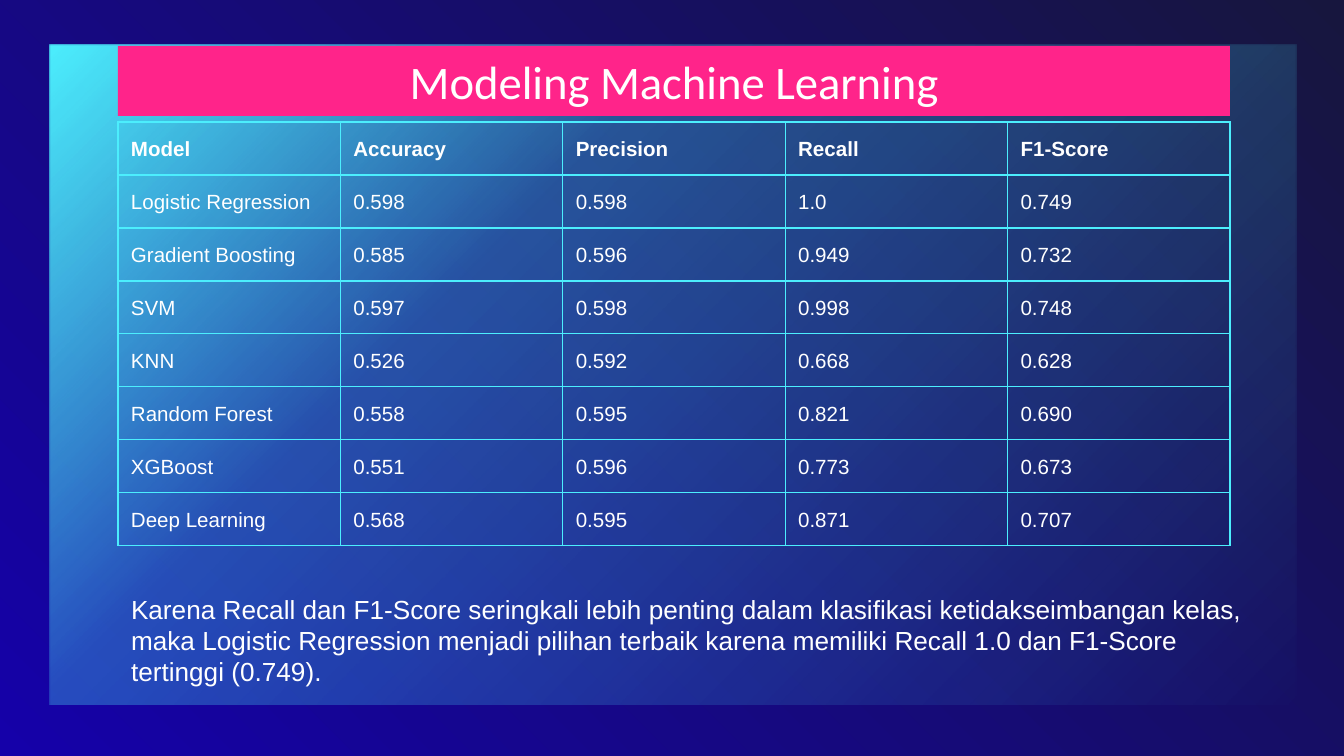
from lxml.etree import SubElement
from pptx import Presentation
from pptx.dml.color import RGBColor
from pptx.enum.shapes import MSO_SHAPE
from pptx.enum.text import MSO_ANCHOR, MSO_AUTO_SIZE, PP_ALIGN
from pptx.oxml import parse_xml
from pptx.oxml.ns import nsdecls, qn
from pptx.util import Emu, Pt

EMU_PER_PX = 914400 / 134.4
CYAN = "4CEEFD"
WHITE = "FFFFFF"
PINK = "FF248A"
INSET = 13

HEADINGS = ["Model", "Accuracy", "Precision", "Recall", "F1-Score"]
SCORES = [
    ["Logistic Regression", "0.598", "0.598", "1.0", "0.749"],
    ["Gradient Boosting", "0.585", "0.596", "0.949", "0.732"],
    ["SVM", "0.597", "0.598", "0.998", "0.748"],
    ["KNN", "0.526", "0.592", "0.668", "0.628"],
    ["Random Forest", "0.558", "0.595", "0.821", "0.690"],
    ["XGBoost", "0.551", "0.596", "0.773", "0.673"],
    ["Deep Learning", "0.568", "0.595", "0.871", "0.707"],
]
CONCLUSION = (
    "Karena Recall dan F1-Score seringkali lebih penting dalam klasifikasi "
    "ketidakseimbangan kelas, maka Logistic Regression menjadi pilihan terbaik "
    "karena memiliki Recall 1.0 dan F1-Score tertinggi (0.749)."
)

TITLE_FONT = {"name": "Calibri", "size": Pt(25), "bold": False}
HEADING_FONT = {"name": "Arial", "size": Pt(11), "bold": True}
SCORE_FONT = {**HEADING_FONT, "bold": False}
CONCLUSION_FONT = {"name": "Arial", "size": Pt(14), "bold": False}
INSETS = {f"margin_{side}": Emu(round(INSET * EMU_PER_PX))
          for side in ("left", "top", "right", "bottom")}


def px(length):
    return Emu(round(length * EMU_PER_PX))


def color(value):
    return RGBColor.from_string(value)


def apply_format(target, values):
    for key, value in values.items():
        setattr(target, key, value)


def write_text(frame, words, font_format, paragraph_format):
    paragraph = frame.paragraphs[0]
    paragraph.text = words
    apply_format(paragraph, paragraph_format)
    apply_format(paragraph.runs[0].font, font_format)
    paragraph.runs[0].font.color.rgb = color(WHITE)


def set_gradient(fill, owner, angle, stops):
    fill.gradient()
    fill.gradient_angle = angle
    stop_list = owner.xpath(".//a:gradFill/a:gsLst")[0]
    for old_stop in list(stop_list):
        stop_list.remove(old_stop)
    for position, value, opacity in stops:
        stop = SubElement(stop_list, qn("a:gs"), pos=str(position * 1000))
        tone = SubElement(stop, qn("a:srgbClr"), val=value)
        if opacity < 100:
            SubElement(tone, qn("a:alpha"), val=str(opacity * 1000))


def add_rectangle(slide, left, top, width, height):
    rectangle = slide.shapes.add_shape(
        MSO_SHAPE.RECTANGLE, px(left), px(top), px(width), px(height))
    rectangle.shadow.inherit = False
    rectangle.line.fill.background()
    return rectangle


def add_panel(slide):
    panel = add_rectangle(slide, 50, 45, 1247, 660)
    set_gradient(panel.fill, panel.element, 315,
                 [(0, CYAN, 100), (34, CYAN, 31), (100, CYAN, 0)])


def add_title(slide):
    banner = add_rectangle(slide, 118, 46, 1112, 70)
    banner.fill.solid()
    banner.fill.fore_color.rgb = color(PINK)
    apply_format(banner.text_frame, {
        **INSETS, "word_wrap": True, "vertical_anchor": MSO_ANCHOR.MIDDLE})
    write_text(banner.text_frame, "Modeling Machine Learning", TITLE_FONT,
               {"alignment": PP_ALIGN.CENTER})


def set_borders(cell):
    properties = cell._tc.get_or_add_tcPr()
    for index, side in enumerate("LRTB"):
        properties.insert(index, parse_xml(
            f'<a:ln{side} {nsdecls("a")} w="{Pt(0.75)}"><a:solidFill>'
            f'<a:srgbClr val="{CYAN}"/></a:solidFill></a:ln{side}>'))


def add_scores(slide):
    rows = [HEADINGS] + SCORES
    scores = slide.shapes.add_table(
        len(rows), len(HEADINGS), px(118), px(122), px(1112),
        px(53 * len(rows))).table
    apply_format(scores, {"first_row": False, "horz_banding": False})
    for row_index, row in enumerate(rows):
        font_format = SCORE_FONT if row_index else HEADING_FONT
        for column_index, words in enumerate(row):
            cell = scores.cell(row_index, column_index)
            apply_format(cell, INSETS)
            cell.fill.background()
            set_borders(cell)
            write_text(cell.text_frame, words, font_format,
                       {"line_spacing": 1.15})


def add_conclusion(slide):
    conclusion = slide.shapes.add_textbox(px(118), px(580), px(1145), px(122))
    apply_format(conclusion.text_frame, {
        **INSETS, "word_wrap": True,
        "auto_size": MSO_AUTO_SIZE.SHAPE_TO_FIT_TEXT})
    write_text(conclusion.text_frame, CONCLUSION, CONCLUSION_FONT,
               {"alignment": PP_ALIGN.LEFT})


def main():
    deck = Presentation()
    apply_format(deck, {"slide_width": px(1344), "slide_height": px(756)})
    slide = deck.slides.add_slide(deck.slide_layouts[6])
    set_gradient(slide.background.fill, slide.element, 45,
                 [(0, "1501A9", 100), (100, "17163E", 100)])
    add_panel(slide)
    add_title(slide)
    add_scores(slide)
    add_conclusion(slide)
    deck.save("out.pptx")


if __name__ == "__main__":
    main()
